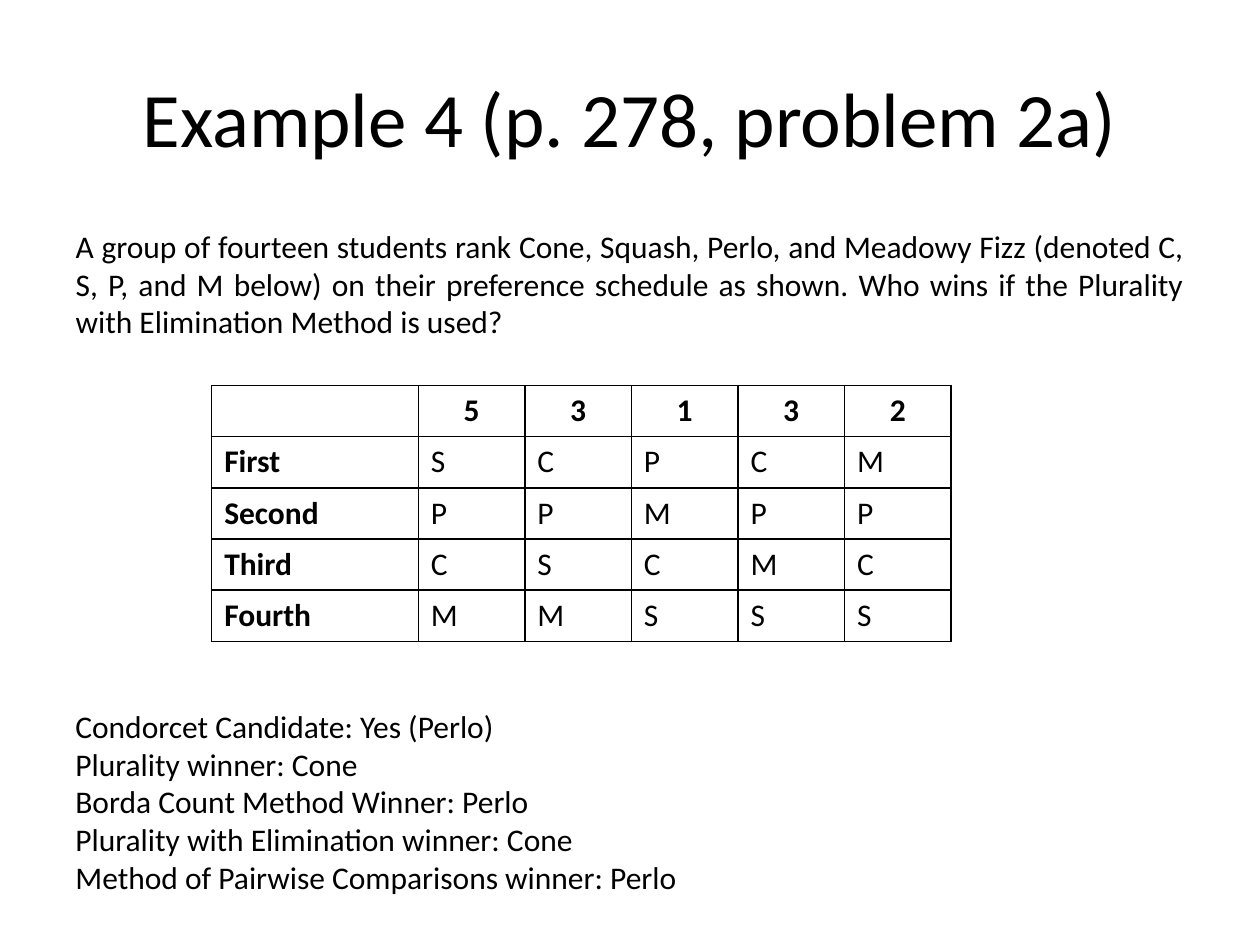
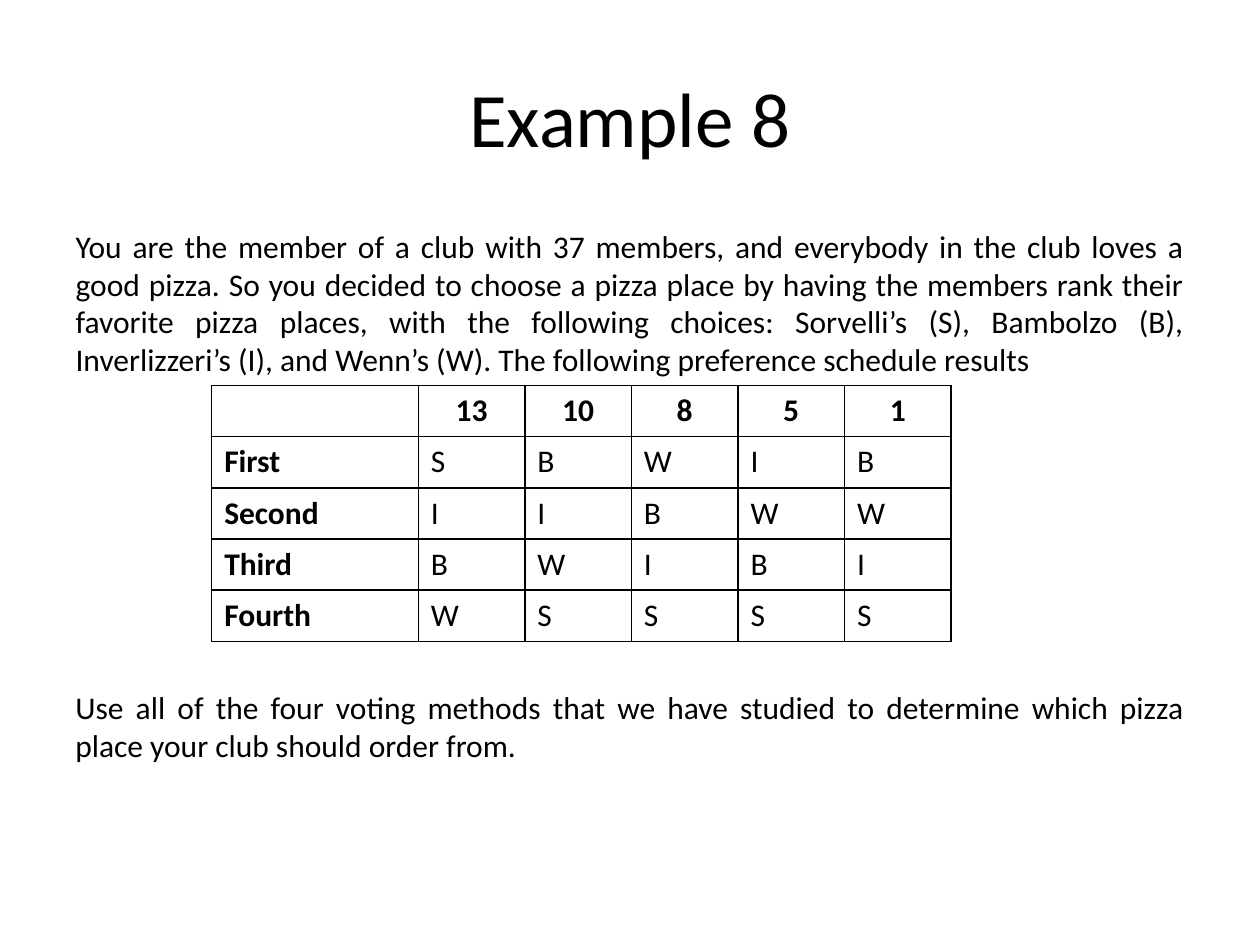
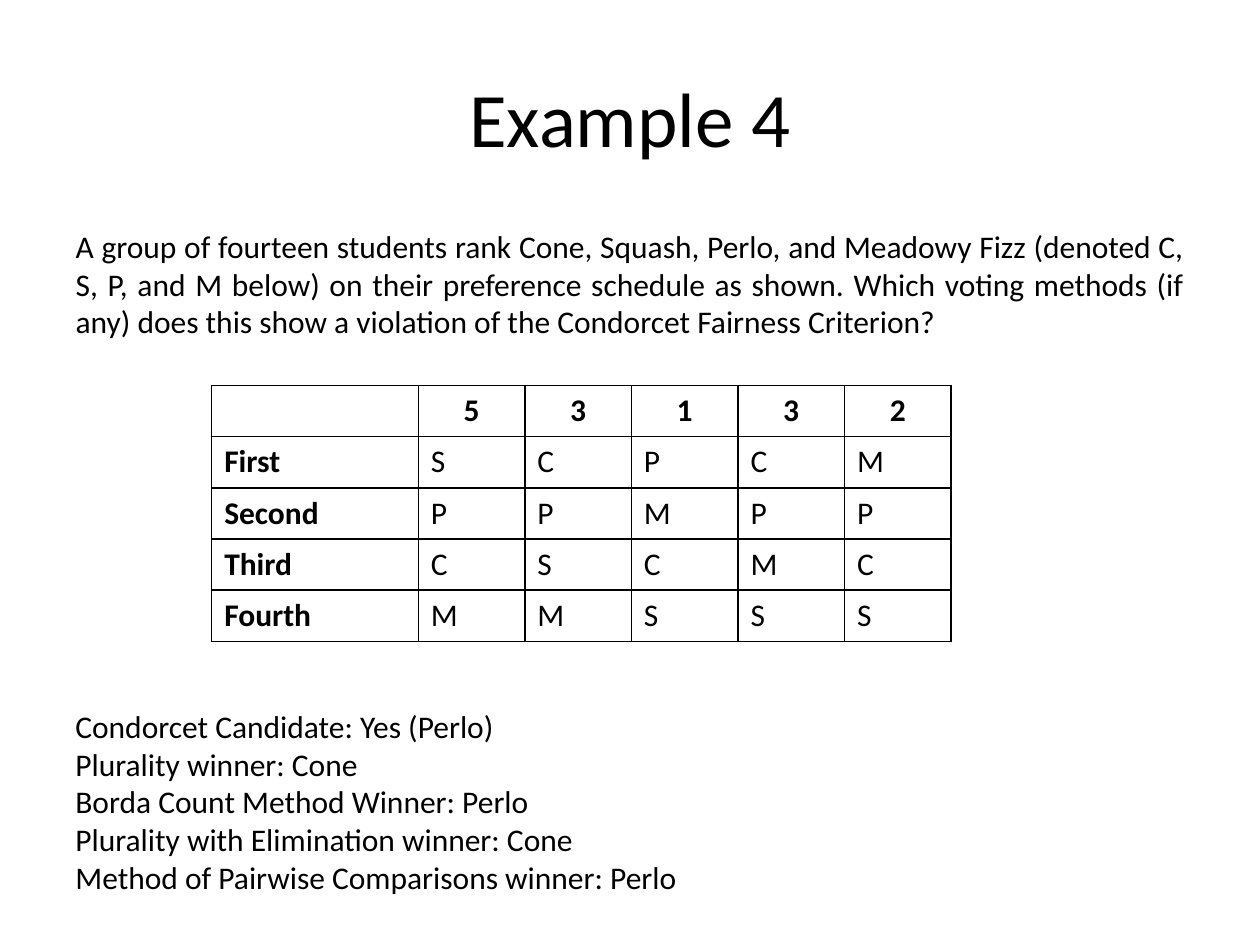
import pptx
import pptx.util
import pptx.dml.color
import pptx.enum.text
import pptx.oxml.ns
from lxml import etree

Inches, Pt = pptx.util.Inches, pptx.util.Pt
ALIGN = pptx.enum.text.PP_ALIGN
ANCHOR = pptx.enum.text.MSO_ANCHOR
AUTO = pptx.enum.text.MSO_AUTO_SIZE
qn = pptx.oxml.ns.qn
BLACK = pptx.dml.color.RGBColor(0, 0, 0)
FONT = "Calibri"

DRINKS = ("A group of fourteen students rank Cone, Squash, Perlo, and Meadowy Fizz "
          "(denoted C, S, P, and M below) on their preference schedule as shown. ")
DRINK_VOTES = ("5 3 1 3 2", "SCPCM", "PPMPP", "CSCMC", "MMSSS")
PIZZA_VOTES = ("13 10 8 5 1", "SBWIB", "IIBWW", "BWIBI", "WSSSS")
PLACES = ("First", "Second", "Third", "Fourth")
WINNERS = [
    "Condorcet Candidate: Yes (Perlo)",
    "Plurality winner: Cone",
    "Borda Count Method Winner: Perlo",
    "Plurality with Elimination winner: Cone",
    "Method of Pairwise Comparisons winner: Perlo",
]
WINNERS_BOX = dict(at=(0.5, 5.56, 5.04, 1.62), align=ALIGN.LEFT, wrap=False)
TASK_BOX = dict(at=(0.5, 5.41, 9, 0.71), align=ALIGN.JUSTIFY, wrap=True)

SLIDES = [
    dict(title="Example 4 (p. 278, problem 2a)",
         question=DRINKS + "Who wins if the Plurality with Elimination Method is used?",
         votes=DRINK_VOTES, notes=WINNERS, box=WINNERS_BOX),
    dict(title="Example 8",
         question="You are the member of a club with 37 members, and everybody in the "
                  "club loves a good pizza. So you decided to choose a pizza place by "
                  "having the members rank their favorite pizza places, with the "
                  "following choices: Sorvelli’s (S), Bambolzo (B), Inverlizzeri’s (I), "
                  "and Wenn’s (W). The following preference schedule results",
         votes=PIZZA_VOTES,
         notes=["Use all of the four voting methods that we have studied to determine "
                "which pizza place your club should order from."],
         box=TASK_BOX),
    dict(title="Example 4",
         question=DRINKS + "Which voting methods (if any) does this show a violation "
                           "of the Condorcet Fairness Criterion?",
         votes=DRINK_VOTES, notes=WINNERS, box=WINNERS_BOX),
]

TITLE_AT = (0.5, 0.3, 9, 1.25)
QUESTION_AT = (0.5, 1.75, 9, 1.25)
TABLE_AT = (1.68, 3.06, 5.87, 2.03)
LABEL_W = 1.64


def set_all(obj, values):
    for name, value in values.items():
        setattr(obj, name, value)


def place(sp, at):
    set_all(sp, dict(zip(("left", "top", "width", "height"), map(Inches, at))))


def write(tf, lines, align, size=18, bold=False):
    for i, line in enumerate(lines):
        p = tf.add_paragraph() if i else tf.paragraphs[0]
        p.alignment = align
        r = p.add_run()
        r.text = line
        set_all(r.font, dict(name=FONT, size=Pt(size), bold=bold))
        r.font.color.rgb = BLACK


def draw_borders(cell):
    tcPr = cell._tc.get_or_add_tcPr()
    for side in ("lnL", "lnR", "lnT", "lnB"):
        ln = etree.SubElement(tcPr, qn("a:" + side), w=str(Pt(1)))
        fill = etree.SubElement(ln, qn("a:solidFill"))
        etree.SubElement(fill, qn("a:srgbClr"), val=str(BLACK))


def add_schedule(s, votes):
    counts, *ranks = votes
    rows = [["", *counts.split()]] + [[label, *rank] for label, rank in zip(PLACES, ranks)]
    n_votes = len(rows[0]) - 1
    width, height = TABLE_AT[2:]
    widths = [LABEL_W] + [(width - LABEL_W) / n_votes] * n_votes
    table = s.shapes.add_table(len(rows), len(widths), *map(Inches, TABLE_AT)).table
    set_all(table, dict(first_row=False, horz_banding=False))
    for col, col_width in zip(table.columns, widths):
        col.width = Inches(col_width)
    for y, row in enumerate(rows):
        table.rows[y].height = Inches(height / len(rows))
        for x, text in enumerate(row):
            cell = table.cell(y, x)
            draw_borders(cell)
            cell.fill.background()
            if text:
                write(cell.text_frame, [text], ALIGN.LEFT if y else ALIGN.CENTER,
                      bold=x == 0 or y == 0)


def add_question(sp, text):
    place(sp, QUESTION_AT)
    tf = sp.text_frame
    tf.auto_size = AUTO.NONE
    write(tf, [text], ALIGN.JUSTIFY)
    pPr = tf.paragraphs[0]._p.get_or_add_pPr()
    for name in ("marL", "indent"):
        pPr.set(name, "0")
    etree.SubElement(pPr, qn("a:buNone"))


def add_notes(s, lines, box):
    sp = s.shapes.add_textbox(*map(Inches, box["at"]))
    set_all(sp.text_frame, dict(word_wrap=box["wrap"], auto_size=AUTO.SHAPE_TO_FIT_TEXT))
    write(sp.text_frame, lines, box["align"])


prs = pptx.Presentation()
set_all(prs, dict(slide_width=Inches(10), slide_height=Inches(7.5)))
for content in SLIDES:
    s = prs.slides.add_slide(prs.slide_layouts[1])
    title, body = s.placeholders
    place(title, TITLE_AT)
    set_all(title.text_frame, dict(vertical_anchor=ANCHOR.MIDDLE, auto_size=AUTO.NONE))
    write(title.text_frame, [content["title"]], ALIGN.CENTER, size=44)
    add_question(body, content["question"])
    add_schedule(s, content["votes"])
    add_notes(s, content["notes"], content["box"])
prs.save("out.pptx")
